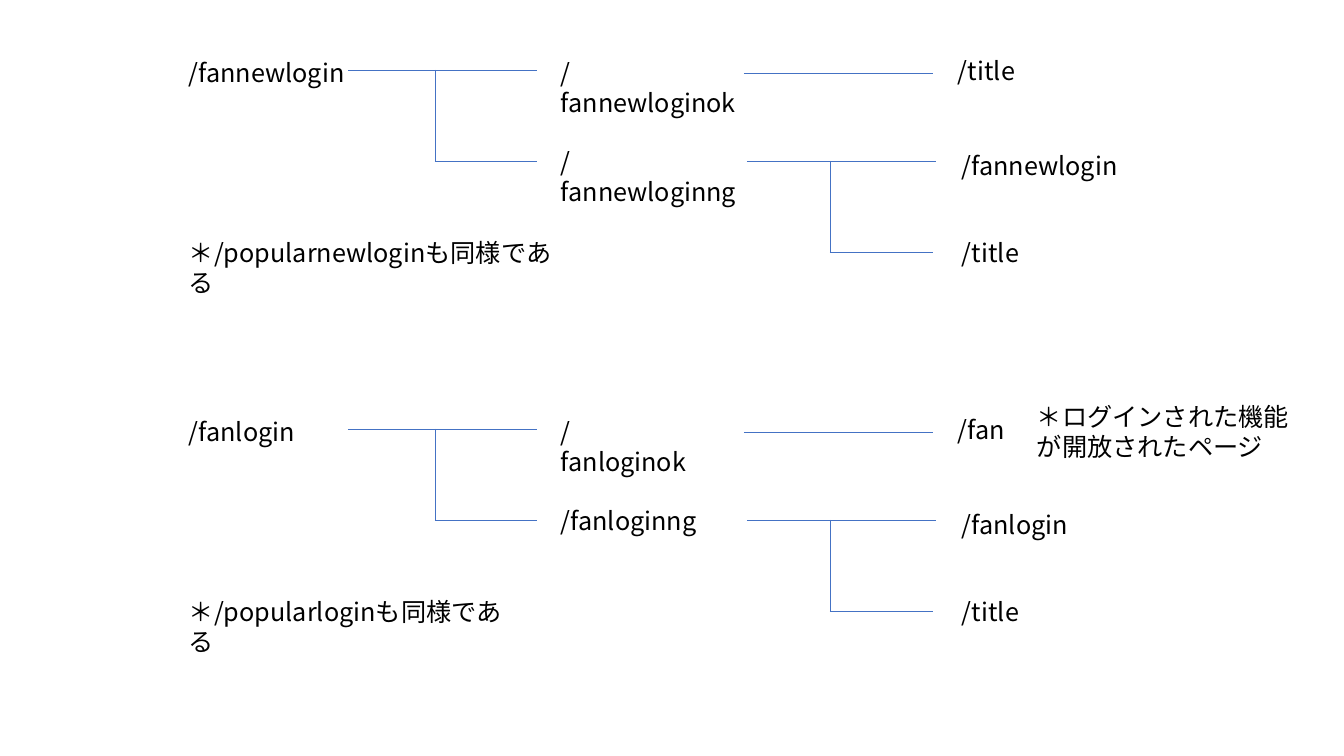
from dataclasses import dataclass

from lxml.etree import SubElement
from pptx import Presentation
from pptx.dml.color import RGBColor
from pptx.enum.shapes import MSO_CONNECTOR
from pptx.enum.text import MSO_AUTO_SIZE
from pptx.oxml.ns import qn
from pptx.util import Emu, Pt

COLORS = {"text": "000000", "line": "4472C4"}
FONT = "Noto Sans CJK JP"
FLOW_STEP = 359


def px(n: int) -> Emu:
    return Emu(round(n * 914400 / 100.8))


@dataclass
class Label:
    text: str
    x: int
    y: int
    w: int
    h: int = 40


@dataclass
class Line:
    x1: int
    y1: int
    x2: int
    y2: int


def add_text(text: str, *, x: int, y: int, w: int, h: int = 40,
             size: int = 18, color: str = "text") -> None:
    tf = s.shapes.add_textbox(px(x), px(y), px(w), px(h)).text_frame
    tf.word_wrap = True
    tf.auto_size = MSO_AUTO_SIZE.SHAPE_TO_FIT_TEXT
    for i, row in enumerate(text.split("\n")):
        p = tf.add_paragraph() if i else tf.paragraphs[0]
        r = p.add_run()
        r.text = row
        r.font.size = Pt(size)
        r.font.name = FONT
        r.font.color.rgb = RGBColor.from_string(COLORS[color])
        SubElement(r.font._element, qn("a:ea")).set("typeface", FONT)


def add_line(line: Line, top: int) -> None:
    c = s.shapes.add_connector(MSO_CONNECTOR.STRAIGHT, px(line.x1), px(line.y1 + top),
                               px(line.x2), px(line.y2 + top))
    c.line.color.rgb = RGBColor.from_string(COLORS["line"])
    c.line.width = Pt(0.5)
    SubElement(c._element.spPr, qn("a:effectLst"))


prs = Presentation()
prs.slide_width, prs.slide_height = px(1344), px(756)
s = prs.slides.add_slide(prs.slide_layouts[6])

# Branches shared by both login flows
BRANCHES = [
    Line(348, 70, 537, 70), Line(435, 70, 435, 161), Line(435, 161, 537, 161),
    Line(744, 73, 933, 73), Line(747, 161, 936, 161),
    Line(830, 161, 830, 252), Line(830, 252, 933, 252),
]

# Page labels, placed relative to the top of their flow
NEW_LOGIN = [
    Label("/fannewlogin", 179, 52, 204),
    Label("/fannewloginok", 551, 52, 202),
    Label("/fannewloginng", 551, 141, 202),
    Label("/title", 948, 50, 82),
    Label("/fannewlogin", 952, 145, 180),
    Label("/title", 952, 232, 82),
    Label("＊/popularnewloginも同様である", 179, 232, 405),
]
LOGIN = [
    Label("/fanlogin", 179, 52, 204),
    Label("/fanloginok", 551, 52, 152),
    Label("/fanloginng", 551, 141, 158),
    Label("/fan", 948, 50, 71),
    Label("/fanlogin", 952, 145, 130),
    Label("/title", 952, 232, 82),
    Label("＊/popularloginも同様である", 179, 232, 356),
    Label("＊ログインされた機能\nが開放されたページ", 1027, 37, 275, 72),
]

for i, labels in enumerate((NEW_LOGIN, LOGIN)):
    top = i * FLOW_STEP
    for branch in BRANCHES:
        add_line(branch, top)
    for label in labels:
        add_text(label.text, x=label.x, y=label.y + top, w=label.w, h=label.h)

prs.save("out.pptx")
